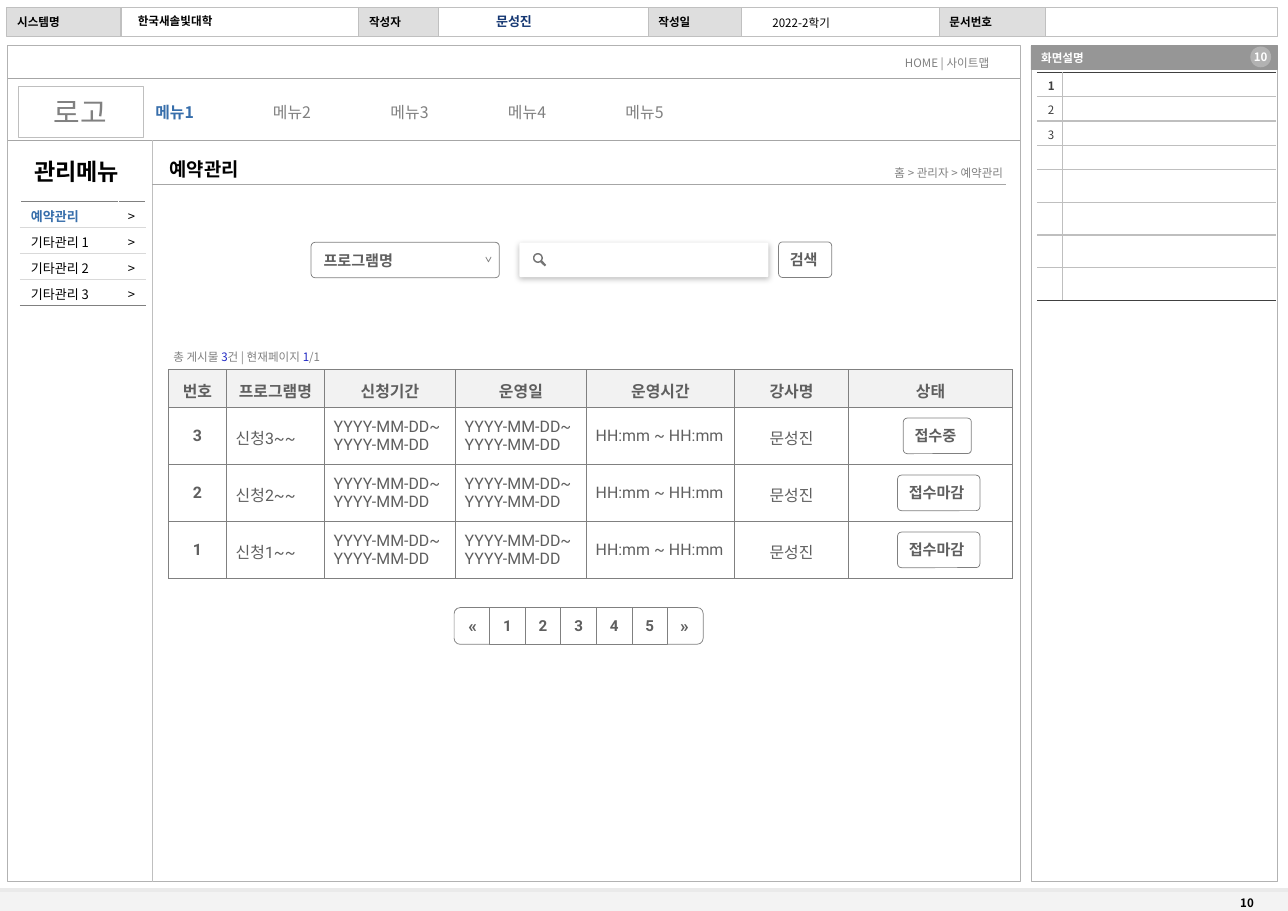
from dataclasses import dataclass
from math import cos, radians, sin

from lxml import etree
from pptx import Presentation
from pptx.dml.color import RGBColor
from pptx.enum.shapes import MSO_CONNECTOR, MSO_SHAPE
from pptx.enum.text import MSO_ANCHOR, MSO_AUTO_SIZE, PP_ALIGN
from pptx.oxml.ns import qn
from pptx.util import Pt

RECT, ROUND, OVAL = MSO_SHAPE.RECTANGLE, MSO_SHAPE.ROUNDED_RECTANGLE, MSO_SHAPE.OVAL
PAGER_END = MSO_SHAPE.ROUND_2_SAME_RECTANGLE
STRAIGHT = MSO_CONNECTOR.STRAIGHT
LEFT, CENTER, RIGHT = PP_ALIGN.LEFT, PP_ALIGN.CENTER, PP_ALIGN.RIGHT
MIDDLE, NO_FIT = MSO_ANCHOR.MIDDLE, MSO_AUTO_SIZE.NONE
SIDES = ("margin_left", "margin_top", "margin_right", "margin_bottom")
PLACE = ("left", "top", "width", "height")
SLIDE_W, SLIDE_H = 891.45, 630.35


@dataclass(frozen=True)
class Theme:
    """Colours, fonts and type sizes of the wireframe."""
    sans: str = "Noto Sans CJK KR"
    ui: str = "Roboto"
    black: str = "000000"
    white: str = "FFFFFF"
    dark: str = "404040"
    control: str = "5F5F5F"
    gray: str = "808080"
    icon: str = "757575"
    bar: str = "969696"
    rule: str = "A6A6A6"
    frame: str = "B2B2B2"
    soft: str = "BFBFBF"
    edge: str = "C0C0C0"
    pale: str = "D9D9D9"
    label: str = "DEDEDE"
    head: str = "F2F2F2"
    footer: str = "F3F3F3"
    footer_line: str = "EAEAEA"
    accent: str = "376EAB"
    author: str = "163873"
    count: str = "1F27C3"
    small: float = 8
    side: float = 9
    button: float = 10.5
    body: float = 11
    arrow: float = 12
    title: float = 13
    heading: float = 16
    logo: float = 20


T = Theme()
CONTROL = {"color": T.control, "font": T.ui, "size": T.button, "bold": True}
TABLE_TEXT = {"color": T.control, "font": T.ui, "size": T.body}


def apply(obj, values):
    """Set each named attribute of an object."""
    for name, value in values.items():
        setattr(obj, name, value)


def fill_paragraph(p, text, size=T.small, color=T.black, bold=False, font=T.sans, align=LEFT):
    """Add runs to a paragraph; text is a string or (text, colour, bold) triples."""
    p.alignment = align
    for part, tint, strong in [(text, color, bold)] if isinstance(text, str) else text:
        r = p.add_run()
        r.text = part
        apply(r.font, {"size": Pt(size), "bold": strong, "name": font})
        r.font.color.rgb = RGBColor.from_string(tint)
        etree.SubElement(r.font._element, qn("a:ea"), typeface=T.sans)


def write(tf, text, pad=(7.2, 3.6, 7.2, 3.6), wrap=True, **style):
    """Set up a text frame and fill its paragraph."""
    apply(tf, {"auto_size": NO_FIT, "word_wrap": wrap, "vertical_anchor": MIDDLE})
    apply(tf, dict(zip(SIDES, map(Pt, pad))))
    fill_paragraph(tf.paragraphs[0], text, **style)


def paint(sp, fill=None, line=None, width=0.75):
    """Give a shape its fill and outline, or none, and no shadow."""
    sp.shadow.inherit = False
    if fill:
        sp.fill.solid()
        sp.fill.fore_color.rgb = RGBColor.from_string(fill)
    else:
        sp.fill.background()
    if line:
        sp.line.color.rgb = RGBColor.from_string(line)
        sp.line.width = Pt(width)
    else:
        sp.line.fill.background()


def box(s, kind, at, fill=None, line=None, width=0.75, text=None, **style):
    """Add a preset shape with optional text."""
    sp = s.shapes.add_shape(kind, *map(Pt, at))
    paint(sp, fill, line, width)
    if text:
        write(sp.text_frame, text, **style)
    return sp


def label(s, at, text, **style):
    """Add a text box and return its paragraph."""
    tf = s.shapes.add_textbox(*map(Pt, at)).text_frame
    write(tf, text, **style)
    return tf.paragraphs[0]


def rule(s, x1, y1, x2, y2, color=T.rule, width=0.75):
    """Add a straight line."""
    cn = s.shapes.add_connector(STRAIGHT, *map(Pt, (x1, y1, x2, y2)))
    cn.line.color.rgb = RGBColor.from_string(color)
    cn.line.width = Pt(width)
    etree.SubElement(cn._element.spPr, qn("a:effectLst"))


def outline(s, *contours, closed=True, **look):
    """Add a freeform; its contours are lists of points."""
    first, *others = [[(Pt(x), Pt(y)) for x, y in c] for c in contours]
    fb = s.shapes.build_freeform(*first[0], scale=1.0)
    fb.add_line_segments(first[1:], close=closed)
    for c in others:
        fb.move_to(*c[0])
        fb.add_line_segments(c[1:], close=closed)
    paint(fb.convert_to_shape(), **look)


def button(s, at, text, pad=(7.2, 5, 7.2, 5)):
    """Add a rounded control with a bold caption."""
    sp = box(s, ROUND, at, T.white, T.gray, 0.5, text, pad=pad, **CONTROL)
    sp.adjustments[0] = 0.11


def grid(s, x, y, cols, rows):
    """Add an unbanded table and return it."""
    tb = s.shapes.add_table(len(rows), len(cols), Pt(x), Pt(y),
                            Pt(sum(cols)), Pt(sum(rows))).table
    apply(tb, {"first_row": False, "horz_banding": False})
    for col, w in zip(tb.columns, cols):
        col.width = Pt(w)
    for row, h in zip(tb.rows, rows):
        row.height = Pt(h)
    return tb


def cell(c, text, borders, fill=None, width=1, pad=(7.2, 0, 7.2, 0), **style):
    """Format a cell; borders are left, right, top, bottom colours or None."""
    tcPr = c._tc.get_or_add_tcPr()
    for side, color in zip("LRTB", borders):
        ln = etree.SubElement(tcPr, qn("a:ln" + side), w=str(Pt(width)))
        tone = etree.SubElement(ln, qn("a:solidFill" if color else "a:noFill"))
        if color:
            etree.SubElement(tone, qn("a:srgbClr"), val=color)
    if fill:
        c.fill.solid()
        c.fill.fore_color.rgb = RGBColor.from_string(fill)
    else:
        c.fill.background()
    c.vertical_anchor = MIDDLE
    apply(c, dict(zip(SIDES, map(Pt, pad))))
    p = c.text_frame.paragraphs[0]
    if text:
        fill_paragraph(p, text, **style)
    else:
        etree.SubElement(p._p, qn("a:endParaRPr"), sz=str(int(T.small * 100)))


def document_header(s):
    """Draw the document strip, the page frames and the footer."""
    box(s, RECT, (0, 615.9, SLIDE_W, 14.4), T.footer)
    rule(s, 0, 615.9, SLIDE_W, 615.9, T.footer_line, 3)
    label(s, (851.3, 615.8, 39.6, 17.3), "10", bold=True)
    box(s, RECT, (5.5, 31.5, 700.7, 578.5), line=T.frame)
    box(s, RECT, (713.5, 48, 170.5, 562), line=T.frame, width=0.5)
    box(s, RECT, (5, 5.5, 879, 20), T.white, T.edge)
    for x, w, text in ((4.8, 79, "시스템명"), (248.4, 55.4, "작성자"),
                       (448.6, 64.8, "작성일"), (650.1, 73.6, "문서번호")):
        box(s, RECT, (x, 5.3, w, 20), T.label, T.edge, text=text, bold=True)
    label(s, (88.3, 5.6, 160, 17.3), "한국새솔빛대학", bold=True)
    label(s, (304.6, 5.6, 102.2, 18), "문성진", size=T.side, color=T.author, bold=True, align=CENTER)
    label(s, (519, 7, 71, 17.3), "2022-2학기", align=CENTER)


def description_panel(s):
    """Draw the screen description panel with its numbered rows."""
    box(s, RECT, (713.5, 31.7, 170.5, 16.6), T.bar, T.bar, 0.5, "화면설명", color=T.white, bold=True)
    box(s, OVAL, (865.4, 32.2, 14.4, 14.4), T.frame, text="10", color=T.white, bold=True,
        align=CENTER, pad=(0, 0, 0, 0), wrap=False)
    rows = [16.85] * 4 + [22.65] * 4
    tb = grid(s, 718, 50, (17.5, 147.5), rows)
    for i in range(len(rows)):
        top = T.soft if i else T.dark
        bottom = T.dark if i == len(rows) - 1 else T.soft
        cell(tb.cell(i, 0), str(i + 1) if i < 3 else "", (None, T.soft, top, bottom), T.white,
             pad=(7.2, 1.4, 0, 0), color=T.dark, bold=i == 0)
        cell(tb.cell(i, 1), "", (T.soft, None, top, bottom), T.white)


def site_navigation(s):
    """Draw the site header, the top menu and the side menu."""
    rule(s, 5.5, 54.5, 706.2, 54.5)
    rule(s, 5.5, 97, 706.2, 97)
    rule(s, 105.4, 97, 105.4, 610, T.soft, 0.25)
    label(s, (619.2, 34.6, 82, 17.3), "HOME | 사이트맵", color=T.gray)
    box(s, RECT, (12.3, 59.6, 86.9, 35), T.white, T.soft, 0.25, "로고",
        size=T.logo, color=T.gray, align=CENTER)
    others = "".join(f"\t메뉴{i}" for i in range(2, 6))
    p = label(s, (100.4, 67, 469.4, 21), (("메뉴1", T.accent, True), (others, T.gray, False)), size=T.body)
    stops = etree.SubElement(p._p.get_or_add_pPr(), qn("a:tabLst"))
    for i in range(1, 5):
        etree.SubElement(stops, qn("a:tab"), pos=str(Pt(81.35 * i)), algn="l")
    label(s, (5.5, 105, 95, 26.6), "관리메뉴", size=T.heading, bold=True, align=CENTER)
    items = ("예약관리", "기타관리 1", "기타관리 2", "기타관리 3")
    tb = grid(s, 14.2, 139.5, (67.6, 18.9), [18] * len(items))
    for i, item in enumerate(items):
        edges = (T.white, T.white, T.pale if i else T.gray, T.gray if item == items[-1] else T.pale)
        cell(tb.cell(i, 0), item, edges, pad=(7.2, 2, 7.2, 0), size=T.side,
             color=T.black if i else T.accent, bold=i == 0)
        cell(tb.cell(i, 1), ">", edges, pad=(0, 2, 7.2, 0), size=T.side, align=RIGHT)


def search_bar(s):
    """Draw the program select, the search field and its button."""
    button(s, (215.3, 167.7, 130.3, 24.5), "프로그램명", pad=(7.9, 5, 21.6, 5))
    outline(s, [(339.9, 177.8), (338.1, 181.2), (336.2, 177.8)], closed=False, line=T.gray, width=0.5)
    field = box(s, ROUND, (359.5, 167.8, 172.4, 24), T.white)
    field.adjustments[0] = 0.05
    effects = field._element.spPr.find(qn("a:effectLst"))
    shadow = etree.SubElement(effects, qn("a:outerShdw"), blurRad=str(Pt(4)),
                              dist=str(Pt(1)), dir="5400000")
    tint = etree.SubElement(shadow, qn("a:srgbClr"), val=T.black)
    etree.SubElement(tint, qn("a:alpha"), val="25000")

    def arc(radius, start, end):
        """Return points on the lens rim."""
        return [(372.3 + radius * cos(radians(a)), 178.5 + radius * sin(radians(a)))
                for a in range(start, end + 1, 10)]
    outline(s, arc(3.4, 60, 390) + [(378, 183.3), (377, 184.3)], arc(2.4, 0, 350), fill=T.icon)
    button(s, (538.9, 167.4, 36.8, 24.6), "검색")


def booking_table(s):
    """Draw the booking list with the state buttons."""
    parts = (("총 게시물 ", T.gray), ("3", T.count), ("건 | 현재페이지 ", T.gray), ("1", T.count), ("/1", T.gray))
    label(s, (112.9, 238.3, 476, 17.3), [(*part, False) for part in parts])
    heads = ("번호", "프로그램명", "신청기간", "운영일", "운영시간", "강사명", "상태")
    head_h, row_h, top = 26.3, 39.45, 255.8
    tb = grid(s, 116.6, top, (40.15, 67.85, 90.7, 90.7, 102.5, 78.9, 113.5), [head_h] + [row_h] * 3)
    edges = [T.gray] * 4
    for j, head in enumerate(heads):
        cell(tb.cell(0, j), head, edges, T.head, 0.5, (6.4, 5, 6.4, 2), bold=True, align=CENTER, **TABLE_TEXT)
    dates = "YYYY-MM-DD~ YYYY-MM-DD"
    for i, (x, w, state) in enumerate(((625.2, 47.1, "접수중"), (621.2, 57, "접수마감"), (621.2, 57, "접수마감")), 1):
        number = str(4 - i)
        values = (number, f"신청{number}~~", dates, dates, "HH:mm ~ HH:mm", "문성진", "")
        for j, value in enumerate(values):
            cell(tb.cell(i, j), value, edges, width=0.5, bold=j == 0,
                 pad=(6.4, 5.4 if j in (1, 5) else 4, 6.4, 4),
                 align=CENTER if j in (0, 5) else LEFT, **TABLE_TEXT)
        button(s, (x, top + head_h + row_h * (i - 1) + 7.2, w, 24.6), state)


def pager(s):
    """Draw the page buttons between the two rounded ends."""
    step, x0, y, h = 24.62, 314.3, 420.4, 25.4
    for i, mark in enumerate("«12345»"):
        x = x0 + step * i
        look = dict(CONTROL, fill=T.white, line=T.gray, width=0.5, text=mark,
                    align=CENTER, pad=(0, 0, 0, 0))
        if mark.isdigit():
            box(s, RECT, (x, y, step, h), **look)
            continue
        look["size"] = T.arrow
        turn = (h - step) / 2
        sp = box(s, PAGER_END, (x - turn, y + turn, h, step), **look)
        sp.rotation, direction = (90, "vert270") if i else (270, "vert")
        sp.text_frame._txBody.bodyPr.set("vert", direction)


def main():
    """Build the booking management screen."""
    prs = Presentation()
    apply(prs, {"slide_width": Pt(SLIDE_W), "slide_height": Pt(SLIDE_H)})
    s = prs.slides.add_slide(prs.slide_layouts[5])
    title = s.shapes.title
    apply(title, dict(zip(PLACE, map(Pt, (110.2, 105.6, 90, 23)))))
    write(title.text_frame, "예약관리", size=T.title, bold=True)
    document_header(s)
    description_panel(s)
    site_navigation(s)
    rule(s, 105.4, 127.8, 696, 127.8)
    label(s, (580, 111, 121.5, 17.3), "홈 > 관리자 > 예약관리", color=T.gray, align=RIGHT)
    search_bar(s)
    booking_table(s)
    pager(s)
    prs.save("out.pptx")


main()
